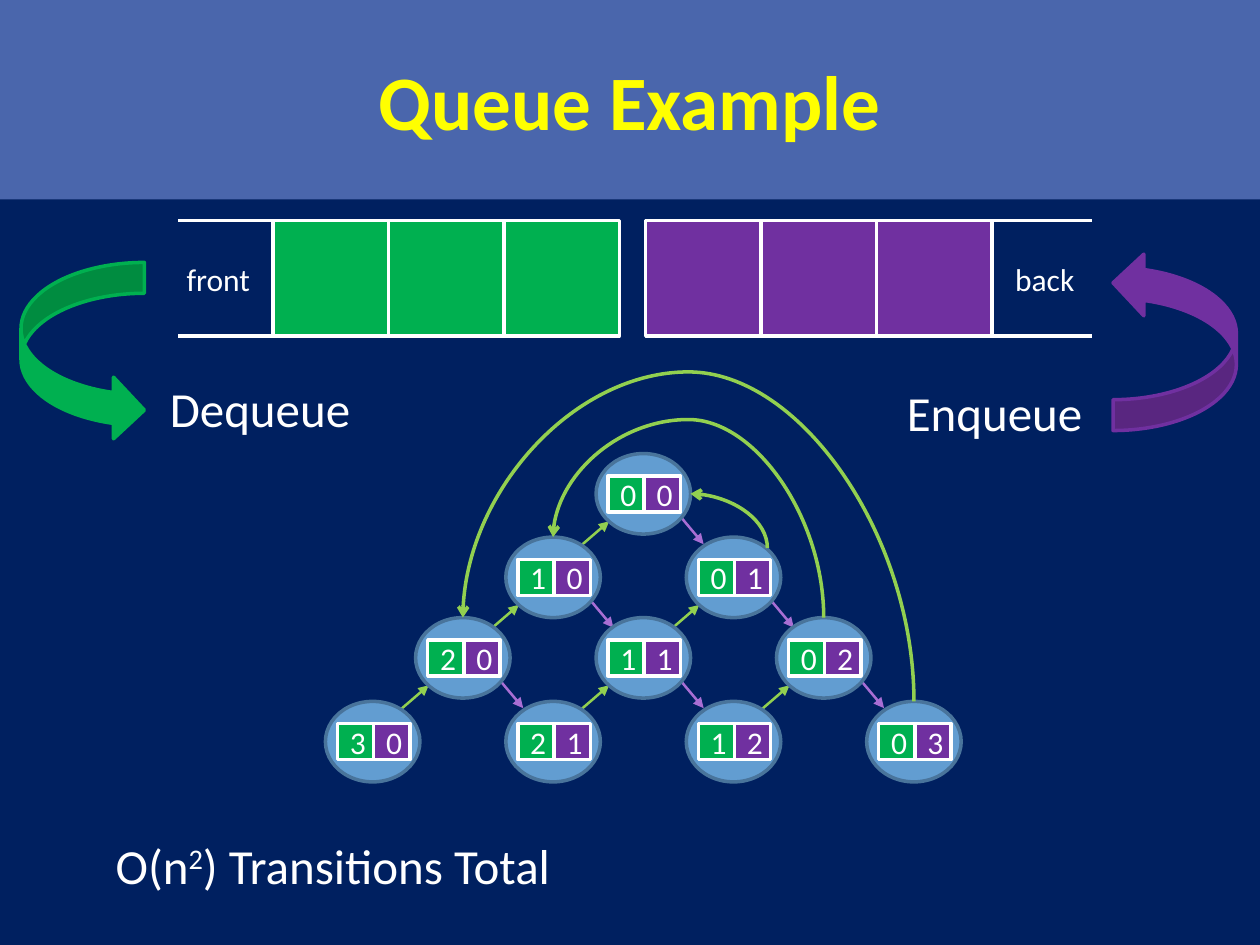
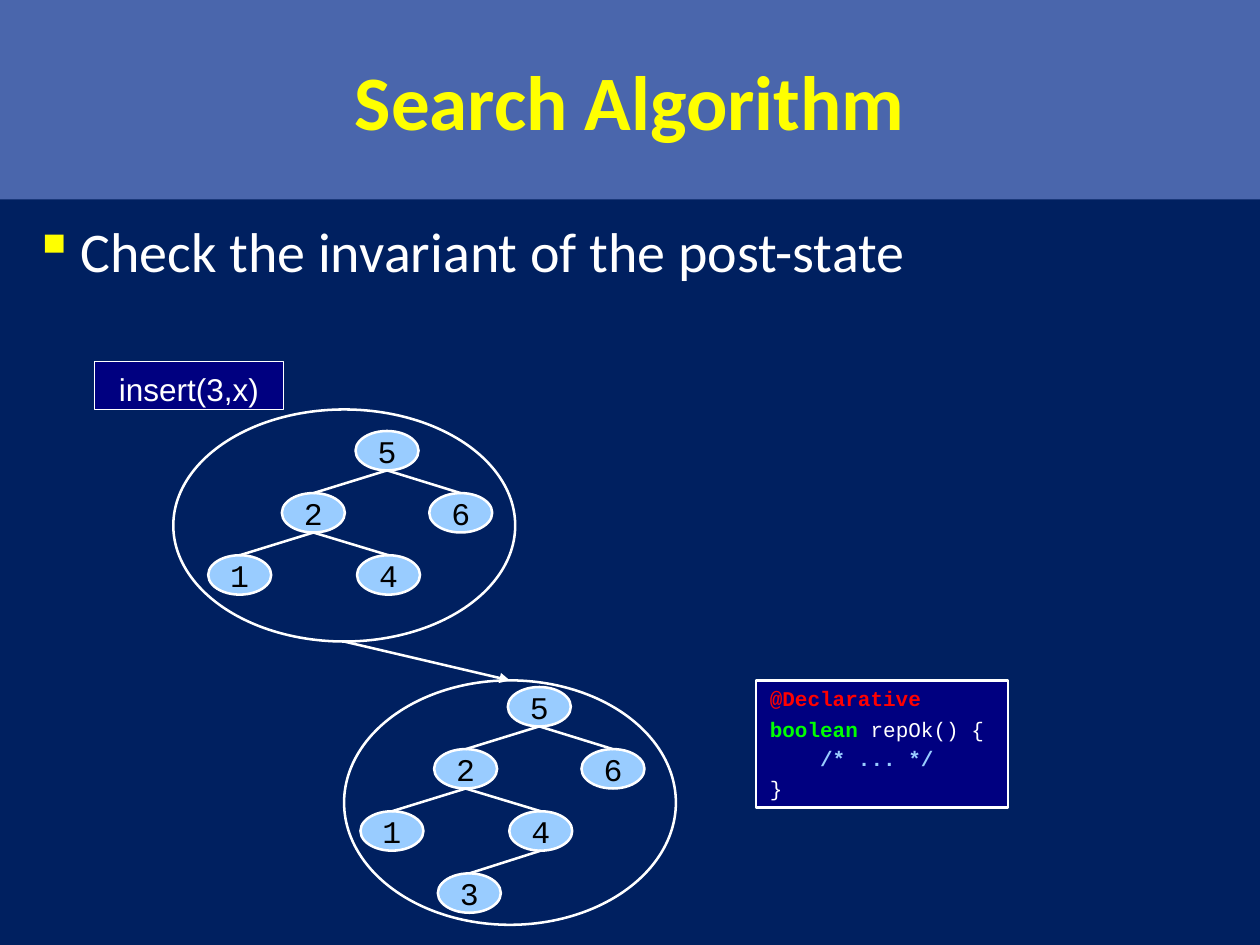
import lxml.etree
import pptx
import pptx.dml.color
import pptx.enum.shapes
import pptx.enum.text
import pptx.oxml.ns
import pptx.util

Pt = pptx.util.Pt
RGBColor = pptx.dml.color.RGBColor
Shape = pptx.enum.shapes.MSO_SHAPE
Connector = pptx.enum.shapes.MSO_CONNECTOR
Align = pptx.enum.text.PP_ALIGN
Anchor = pptx.enum.text.MSO_ANCHOR
qn = pptx.oxml.ns.qn

NAVY = RGBColor(0x00, 0x20, 0x60)
BAND = RGBColor(0x4A, 0x66, 0xAC)
YELLOW = RGBColor(0xFF, 0xFF, 0x00)
WHITE = RGBColor(0xFF, 0xFF, 0xFF)
BLACK = RGBColor(0x00, 0x00, 0x00)
GREEN = RGBColor(0x00, 0xB0, 0x50)
PURPLE = RGBColor(0x70, 0x30, 0xA0)
LIME = RGBColor(0x92, 0xD0, 0x50)
LILAC = RGBColor(0xA8, 0x6E, 0xD4)
STATE_BLUE = RGBColor(0x62, 0x9D, 0xD1)
STATE_EDGE = RGBColor(0x49, 0x74, 0x9B)
SKY = RGBColor(0x99, 0xCC, 0xFF)
CODE_BLUE = RGBColor(0x00, 0x00, 0x80)
RED = RGBColor(0xFF, 0x00, 0x00)
BRIGHT_GREEN = RGBColor(0x00, 0xFF, 0x00)


def add_xml(parent, tag, **attributes):
    element = lxml.etree.SubElement(parent, qn(tag))
    for name, value in attributes.items():
        element.set(name, value)
    return element


class SlideMaker:
    sans = "Calibri"
    mono = "Courier New"
    thin = 1.45
    thick = 2

    def __init__(self):
        self.deck = pptx.Presentation()
        self.deck.slide_width = Pt(720)
        self.deck.slide_height = Pt(540)
        fill = self.deck.slide_master.background.fill
        fill.solid()
        fill.fore_color.rgb = NAVY
        self.page = None

    def new_page(self, title):
        self.page = self.deck.slides.add_slide(self.deck.slide_layouts[5])
        box = self.page.shapes.title
        box.left, box.top, box.width, box.height = Pt(0), Pt(0), Pt(720), Pt(114)
        box.fill.solid()
        box.fill.fore_color.rgb = BAND
        box.text_frame.vertical_anchor = Anchor.MIDDLE
        self.set_text(box.text_frame.paragraphs[0], title, 44, YELLOW, Align.CENTER, bold=True)

    def set_text(self, para, text, size, color, align=Align.LEFT, font=sans, bold=False):
        para.text = text
        para.alignment = align
        para.font.name = font
        para.font.size = Pt(size)
        para.font.bold = bold
        if color is not None:
            para.font.color.rgb = color

    def text(self, x, y, width, height, text, size, align=Align.LEFT):
        box = self.page.shapes.add_textbox(Pt(x), Pt(y), Pt(width), Pt(height))
        box.text_frame.word_wrap = True
        para = box.text_frame.paragraphs[0]
        self.set_text(para, text, size, WHITE, align)
        return para

    def bullet(self, x, y, width, height, text):
        box = self.page.shapes.add_textbox(Pt(x), Pt(y), Pt(width), Pt(height))
        box.text_frame.word_wrap = True
        para = box.text_frame.paragraphs[0]
        settings = para._p.get_or_add_pPr()
        settings.set("marL", str(Pt(27)))
        settings.set("indent", str(-Pt(27)))
        add_xml(add_xml(settings, "a:buClr"), "a:srgbClr", val=str(YELLOW))
        add_xml(settings, "a:buChar", char="▪")
        self.set_text(para, text, 32, WHITE)

    def shape(self, kind, x, y, width, height, fill=None, line=WHITE, weight=thick):
        shape = self.page.shapes.add_shape(kind, Pt(x), Pt(y), Pt(width), Pt(height))
        shape.shadow.inherit = False
        if fill is None:
            shape.fill.background()
        else:
            shape.fill.solid()
            shape.fill.fore_color.rgb = fill
        shape.line.color.rgb = line
        shape.line.width = Pt(weight)
        return shape

    def label(self, shape, text, color=WHITE, font=sans, anchor=Anchor.MIDDLE):
        shape.text_frame.vertical_anchor = anchor
        self.set_text(shape.text_frame.paragraphs[0], text, 18, color, Align.CENTER, font)

    def insets(self, shape, side, top, bottom):
        frame = shape.text_frame
        frame.margin_left = frame.margin_right = Pt(side)
        frame.margin_top, frame.margin_bottom = Pt(top), Pt(bottom)

    def line(self, start, end, color=WHITE, weight=thin, arrow=None, kind=Connector.STRAIGHT):
        line = self.page.shapes.add_connector(kind, *[Pt(n) for n in (*start, *end)])
        line.line.color.rgb = color
        line.line.width = Pt(weight)
        if arrow:
            add_xml(line.line._get_or_add_ln(), "a:tailEnd", type=arrow)
        add_xml(line._element.spPr, "a:effectLst")
        return line

    def curve(self, start, end, preset, bend=None):
        line = self.line(start, end, LIME, self.thick, "arrow", Connector.CURVE)
        across, up = start[0] - end[0], start[1] - end[1]
        properties = line._element.spPr
        transform = properties.find(qn("a:xfrm"))
        transform.attrib.clear()
        transform.set("rot", "16200000")
        transform.set("flipV", "1")
        line.left = Pt((start[0] + end[0] - up) / 2)
        line.top = Pt((start[1] + end[1] - across) / 2)
        line.width, line.height = Pt(up), Pt(across)
        geometry = properties.find(qn("a:prstGeom"))
        geometry.set("prst", preset)
        if bend:
            guides = geometry.find(qn("a:avLst"))
            add_xml(guides, "a:gd", name="adj1", fmla=f"val {round(bend * 100000)}")


STATE_TOPS = (259.2, 306.9, 352.9, 400.8)
STATE_WIDTH, STATE_HEIGHT = 54, 46


def state_corner(dequeued, enqueued):
    return 340.6 + 51.55 * (enqueued - dequeued), STATE_TOPS[dequeued + enqueued]


def state_top(dequeued, enqueued):
    x, y = state_corner(dequeued, enqueued)
    return x + STATE_WIDTH / 2, y


def draw_queue(maker):
    cell, top = 66, 126
    for left, color in ((156, GREEN), (369, PURPLE)):
        for index in range(3):
            maker.shape(Shape.RECTANGLE, left + cell * index, top, cell, cell, color)
    for left, right in ((102, 159), (567, 624)):
        for y in (top, top + cell):
            maker.line((right, y), (left, y), weight=maker.thick)
    for x, y, color, turn in ((12, 150, GREEN, 0), (636, 144, PURPLE, 180)):
        arrow = maker.shape(Shape.CURVED_RIGHT_ARROW, x, y, 70.5, 102, color, color)
        arrow.rotation = turn
    maker.text(90, 213, 145.5, 41, "Dequeue", 28)
    maker.text(480, 215, 145.5, 41, "Enqueue", 28, Align.RIGHT)
    maker.text(84, 145, 66, 29, "front", 18, Align.RIGHT)
    maker.text(573, 145, 66, 29, "back", 18)


def draw_states(maker):
    states = [(level - step, step) for level in range(4) for step in range(level + 1)]
    for state in states:
        if sum(state) < 3:
            x, y = state_corner(*state)
            maker.line((x - 13.4, y + 56.7), (x + 7.5, y + 38.7), LIME, arrow="triangle")
            maker.line((x + 46.4, y + 33.8), (x + 61.5, y + 51.8), LILAC, arrow="triangle")
    for state in states:
        x, y = state_corner(*state)
        maker.shape(Shape.OVAL, x, y, STATE_WIDTH, STATE_HEIGHT, STATE_BLUE, STATE_EDGE)
        for index, color in enumerate((GREEN, PURPLE)):
            cell = maker.shape(Shape.RECTANGLE, x + 6.9 + 20.7 * index, y + 12.7, 20.7, 20.7, color)
            maker.label(cell, str(state[index]))
    maker.curve((438.5, 313.2), (394.6, 282.2), "curvedConnector2")
    for last, bend in ((2, 2.46), (3, 3.93)):
        maker.curve(state_top(0, last), state_top(last - 1, 0), "curvedConnector3", bend)


def draw_tree(maker, left, top, nodes):
    width, height = 36, 22.5
    corners = {}
    for value, parent, column, level in nodes:
        x, y = left + 42.1 * column, top + 35.5 * level
        corners[value] = x, y
        node = maker.shape(Shape.OVAL, x, y, width, height, SKY, weight=maker.thin)
        node.text_frame.word_wrap = False
        maker.insets(node, 7.2, 4.3, 4.3)
        maker.label(node, value, BLACK, maker.mono)
        if parent:
            parent_x, parent_y = corners[parent]
            maker.line((parent_x + width / 2, parent_y + height), (x + width / 2, y))


def draw_code(maker):
    box = maker.shape(Shape.RECTANGLE, 432, 388.8, 144, 72.7, CODE_BLUE, weight=maker.thin)
    maker.insets(box, 7.9, 4.3, 4.3)
    frame = box.text_frame
    frame.vertical_anchor = Anchor.TOP
    lines = (
        ("@Declarative", RED, True, 0.94),
        ("", None, False, 1.18),
        ("    /* ... */", SKY, True, 1.18),
        ("}", WHITE, False, 1.18),
    )
    for index, (text, color, bold, spacing) in enumerate(lines):
        para = frame.add_paragraph() if index else frame.paragraphs[0]
        para.line_spacing = spacing
        maker.set_text(para, text, 12, color, font=maker.mono, bold=bold)
    for text, color, bold in (("boolean", BRIGHT_GREEN, True), (" repOk() {", WHITE, False)):
        span = frame.paragraphs[1].add_run()
        span.text = text
        span.font.color.rgb = color
        span.font.bold = bold


def build_queue_page(maker):
    maker.new_page("Queue Example")
    draw_queue(maker)
    draw_states(maker)
    total = maker.text(59, 474, 317, 41, "O(n", 28)
    exponent = total.add_run()
    exponent.text = "2"
    exponent._r.get_or_add_rPr().set("baseline", "30000")
    total.add_run().text = ") Transitions Total"


def build_search_page(maker):
    maker.new_page("Search Algorithm")
    maker.bullet(12, 120, 696, 60, "Check the invariant of the post-state")
    before = [("5", None, 0, 0), ("2", "5", -1, 1), ("6", "5", 1, 1),
              ("1", "2", -2, 2), ("4", "2", 0.02, 2)]
    after = before + [("3", "4", -0.95, 3)]
    draw_tree(maker, 203.2, 246.3, before)
    maker.shape(Shape.OVAL, 99, 234, 195.4, 132.6, weight=maker.thin)
    call = maker.shape(Shape.RECTANGLE, 54, 206.6, 108, 27.4, CODE_BLUE, weight=0.75)
    maker.insets(call, 7.2, 5, 3.6)
    maker.label(call, "insert(3,x)", font="Arial", anchor=Anchor.TOP)
    draw_tree(maker, 290.2, 392.6, after)
    maker.shape(Shape.OVAL, 196.6, 388.8, 189.6, 139.7, weight=maker.thin)
    maker.line((196.6, 366.6), (291.4, 388.8), arrow="triangle")
    draw_code(maker)


def main():
    maker = SlideMaker()
    build_queue_page(maker)
    build_search_page(maker)
    maker.deck.save("out.pptx")


if __name__ == "__main__":
    main()
